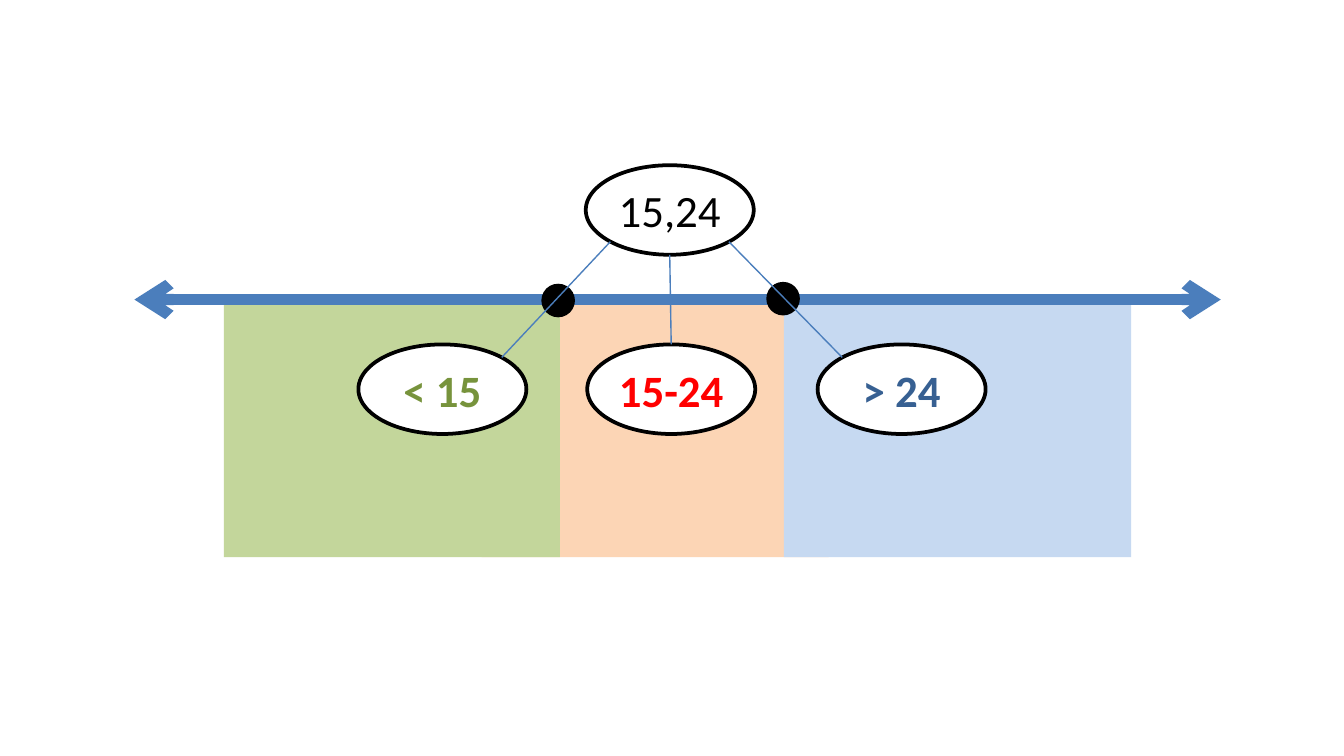
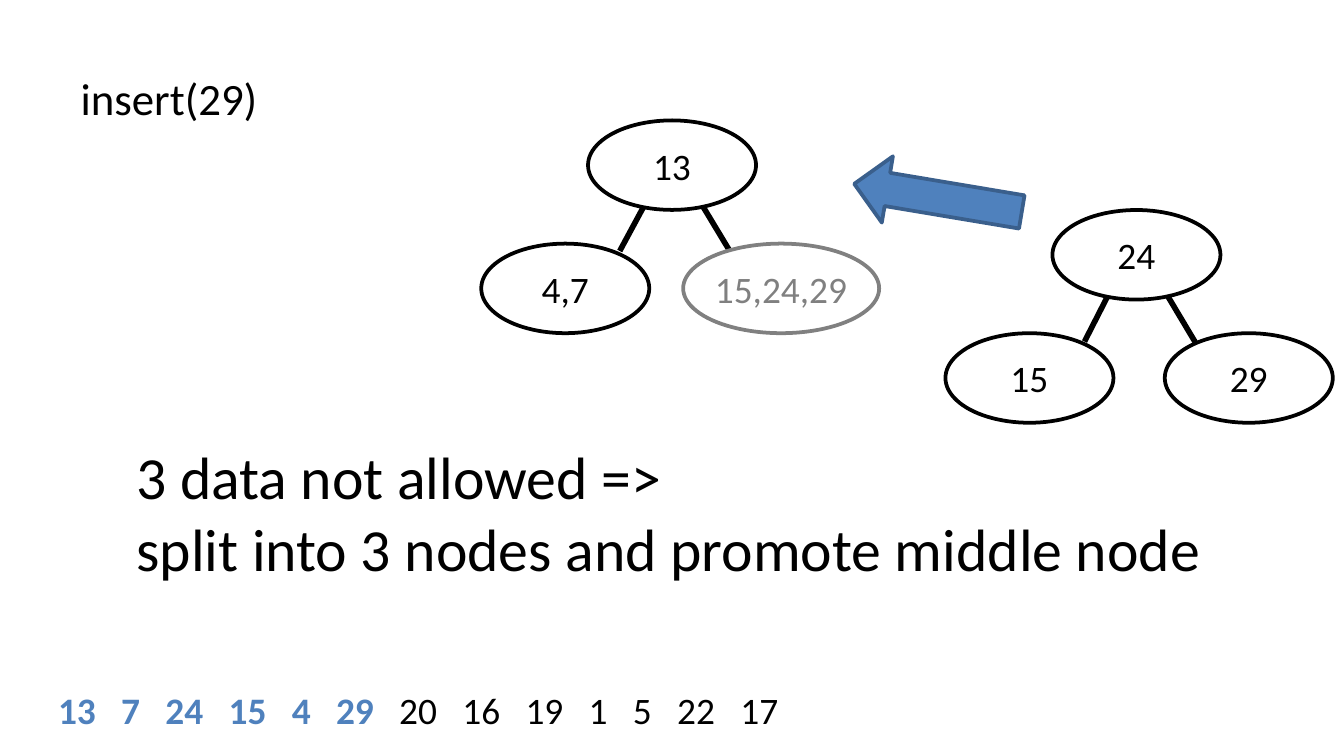
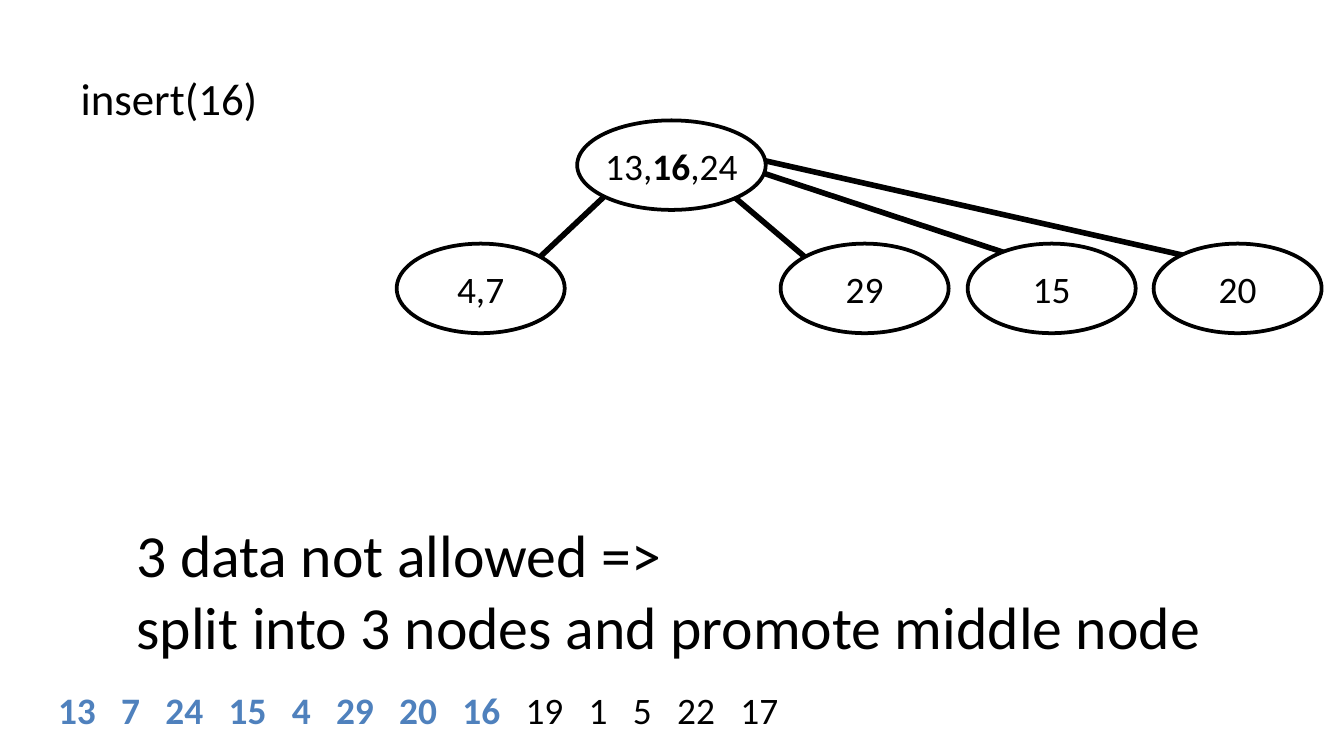
from itertools import accumulate
from lxml.etree import SubElement
from pptx import Presentation
from pptx.dml.color import RGBColor
from pptx.enum.shapes import MSO_CONNECTOR, MSO_SHAPE
from pptx.enum.text import MSO_ANCHOR, MSO_AUTO_SIZE, PP_ALIGN
from pptx.oxml.ns import qn
from pptx.util import Pt

BLACK = RGBColor(0x00, 0x00, 0x00)
WHITE = RGBColor(0xFF, 0xFF, 0xFF)
GRAY = RGBColor(0x80, 0x80, 0x80)
RED = RGBColor(0xFF, 0x00, 0x00)
BLUE = RGBColor(0x4F, 0x81, 0xBD)
LINE_BLUE = RGBColor(0x4B, 0x7E, 0xBC)
EDGE_BLUE = RGBColor(0x3A, 0x5F, 0x8C)
DARK_BLUE = RGBColor(0x37, 0x60, 0x92)
DARK_GREEN = RGBColor(0x77, 0x93, 0x3C)
PALE_GREEN = RGBColor(0xC3, 0xD6, 0x9B)
PALE_ORANGE = RGBColor(0xFC, 0xD5, 0xB5)
PALE_BLUE = RGBColor(0xC6, 0xD9, 0xF1)

FONT = "Calibri"
NODE_WIDTH, NODE_HEIGHT = 90, 48
AXIS_TOP = 160.5
DIGIT_WIDTH, GAP_WIDTH = 10.14, 13.56
VALUES = ["13", "7", "24", "15", "4", "29", "20", "16", "19", "1", "5", "22", "17"]


def add_figure(slide, kind, box, fill, outline=None, parts=(), size=20, color=BLACK, bold=False):
    shape = slide.shapes.add_shape(kind, *map(Pt, box))
    shape.shadow.inherit = False
    shape.fill.solid()
    shape.fill.fore_color.rgb = fill
    if outline is None:
        shape.line.fill.background()
    else:
        shape.line.color.rgb = outline
        shape.line.width = Pt(2)
    if parts:
        frame = shape.text_frame
        frame.margin_left = frame.margin_right = 0
        frame.vertical_anchor = MSO_ANCHOR.MIDDLE
        paragraph = frame.paragraphs[0]
        paragraph.alignment = PP_ALIGN.CENTER
        font = paragraph.font
        font.name, font.size, font.bold = FONT, Pt(size), bold
        font.color.rgb = color
        for part in parts:
            paragraph.add_run().text = part
    return shape


def add_line(slide, ends, color, width):
    line = slide.shapes.add_connector(MSO_CONNECTOR.STRAIGHT, *map(Pt, ends))
    line.line.color.rgb = color
    line.line.width = Pt(width)
    SubElement(line._element.spPr, qn("a:effectLst"))
    return line


presentation = Presentation()
presentation.slide_width, presentation.slide_height = Pt(720), Pt(405)
blank_layout = presentation.slide_layouts[6]
title_layout = presentation.slide_layouts[5]

slide = presentation.slides.add_slide(blank_layout)
for left, width, fill in [(258, 186, PALE_ORANGE), (420, 186, PALE_BLUE), (120, 180, PALE_GREEN)]:
    add_figure(slide, MSO_SHAPE.RECTANGLE, (left, AXIS_TOP, width, 138), fill)
axis = add_line(slide, (72, AXIS_TOP, 654, AXIS_TOP), LINE_BLUE, 6)
for end in ("a:headEnd", "a:tailEnd"):
    SubElement(axis.line._get_or_add_ln(), qn(end), type="arrow")
for left, top in [(410.5, 151), (290, 152)]:
    add_figure(slide, MSO_SHAPE.OVAL, (left, top, 18, 18), BLACK)
for left, top, label, color, bold in [
    (313.8, 88.5, "15,24", BLACK, False),
    (314.6, 184.5, "15-24", RED, True),
    (438, 184.5, "> 24", DARK_BLUE, True),
    (192, 184.5, "< 15", DARK_GREEN, True),
]:
    add_figure(slide, MSO_SHAPE.OVAL, (left, top, NODE_WIDTH, NODE_HEIGHT), WHITE, BLACK,
               [label], 24, color, bold)
for ends in [(327, 129.5, 268.8, 191.5), (390.5, 129.5, 451.2, 191.5), (358.8, 136.5, 359.6, 184.5)]:
    add_line(slide, ends, LINE_BLUE, 0.75)

steps = [
    {
        "title": "insert(29)",
        "inserted": 6,
        "caption_top": 232,
        "edges": [(345.5, 109.5, 332, 134.5), (375, 108, 392.5, 137),
                  (594, 157.5, 581, 183), (624, 156, 641, 184.5)],
        "nodes": [(315, 64.5, NODE_WIDTH, ["13"], BLACK),
                  (257.8, 130.5, NODE_WIDTH, ["4,7"], BLACK),
                  (563.8, 112.5, NODE_WIDTH, ["24"], BLACK),
                  (506.5, 178.5, NODE_WIDTH, ["15"], BLACK),
                  (624, 178.5, NODE_WIDTH, ["29"], BLACK),
                  (366, 130.5, 105, ["15,24,29"], GRAY)],
    },
    {
        "title": "insert(16)",
        "inserted": 8,
        "caption_top": 273.8,
        "edges": [(396, 88.5, 540, 136), (396, 83, 635, 137),
                  (324, 105, 289.5, 137.5), (388, 101, 431, 137.5)],
        "nodes": [(309.2, 64.5, 101, ["13,", "16", ",24"], BLACK),
                  (212.5, 130.5, NODE_WIDTH, ["4,7"], BLACK),
                  (418.2, 130.5, NODE_WIDTH, ["29"], BLACK),
                  (518.4, 130.5, NODE_WIDTH, ["15"], BLACK),
                  (618, 130.5, NODE_WIDTH, ["20"], BLACK)],
    },
]

for step in steps:
    slide = presentation.slides.add_slide(title_layout)
    title = slide.shapes.title
    title.left, title.top, title.width, title.height = Pt(36), Pt(34.5), Pt(110), Pt(36)
    title.text_frame.text = step["title"]
    title.text_frame.word_wrap = False
    title.text_frame.auto_size = MSO_AUTO_SIZE.NONE
    title.text_frame.vertical_anchor = MSO_ANCHOR.TOP
    paragraph = title.text_frame.paragraphs[0]
    paragraph.alignment = PP_ALIGN.LEFT
    paragraph.font.name, paragraph.font.size = FONT, Pt(24)
    paragraph.font.color.rgb = BLACK

    for ends in step["edges"]:
        add_line(slide, ends, BLACK, 3)
    for left, top, width, parts, color in step["nodes"]:
        node = add_figure(slide, MSO_SHAPE.OVAL, (left, top, width, NODE_HEIGHT), WHITE, color,
                          parts, color=color)
        for run in node.text_frame.paragraphs[0].runs[1:2]:
            run.font.bold = True

    sequence = slide.shapes.add_textbox(Pt(24), Pt(364.5), Pt(660), Pt(31.5))
    sequence.text_frame.word_wrap = True
    paragraph = sequence.text_frame.paragraphs[0]
    tabs = SubElement(paragraph._p.get_or_add_pPr(), qn("a:tabLst"))
    for stop in accumulate(len(value) * DIGIT_WIDTH + GAP_WIDTH for value in VALUES[:-1]):
        SubElement(tabs, qn("a:tab"), pos=str(Pt(stop)), algn="l")
    paragraph.font.name, paragraph.font.size = FONT, Pt(20)
    count = step["inserted"]
    for text, color, bold in [("\t".join(VALUES[:count]) + "\t", BLUE, True),
                              ("\t".join(VALUES[count:]), BLACK, False)]:
        run = paragraph.add_run()
        run.text = text
        run.font.bold = bold
        run.font.color.rgb = color

    caption = slide.shapes.add_textbox(Pt(66), Pt(step["caption_top"]), Pt(591), Pt(85))
    caption.text_frame.word_wrap = False
    caption.text_frame.text = "3 data not allowed =>\nsplit into 3 nodes and promote middle node"
    for paragraph in caption.text_frame.paragraphs:
        paragraph.font.name, paragraph.font.size = FONT, Pt(32)
        paragraph.font.color.rgb = BLACK

    if step["title"] == "insert(29)":
        arrow = add_figure(slide, MSO_SHAPE.RIGHT_ARROW, (457, 88, 91, 36), BLUE, EDGE_BLUE)
        arrow.rotation = 189.5

presentation.save("out.pptx")
